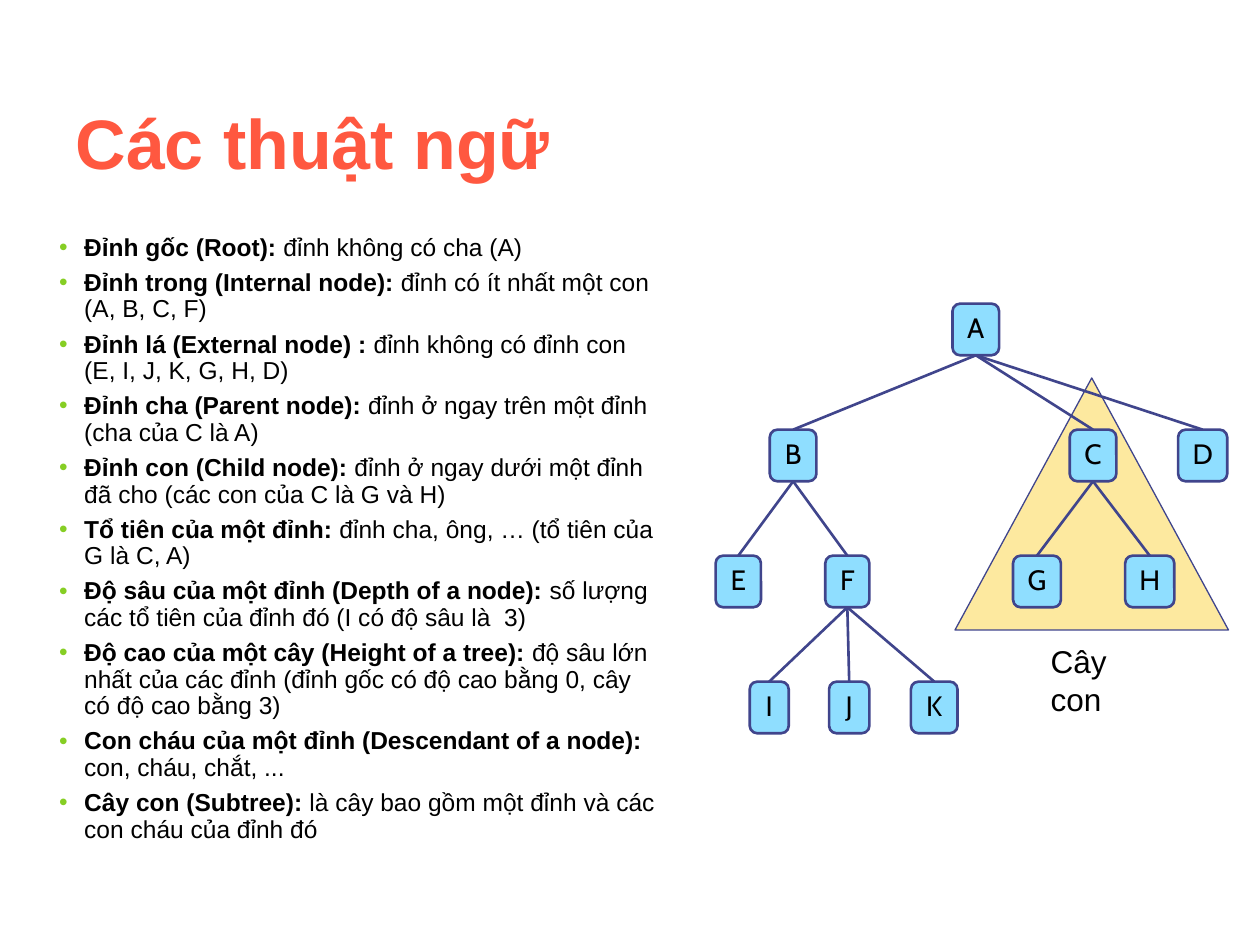
import dataclasses
import typing

import lxml.etree
import pptx
import pptx.dml.color
import pptx.enum.shapes
import pptx.enum.text
import pptx.oxml.ns
import pptx.util

Inches = pptx.util.Inches
Pt = pptx.util.Pt
RGBColor = pptx.dml.color.RGBColor
Shapes = pptx.enum.shapes.MSO_SHAPE
Align = pptx.enum.text.PP_ALIGN
Anchor = pptx.enum.text.MSO_ANCHOR
AutoSize = pptx.enum.text.MSO_AUTO_SIZE

CORAL = RGBColor(0xFF, 0x58, 0x40)
BLACK = RGBColor(0x00, 0x00, 0x00)
GREEN = RGBColor(0x86, 0xCE, 0x24)
SKY = RGBColor(0x8F, 0xDE, 0xFF)
INDIGO = RGBColor(0x40, 0x45, 0x8C)
CREAM = RGBColor(0xFD, 0xE9, 0x9F)

TREE_TOP = 2.41
LEVEL_GAP = 1.0
NODE_HEIGHT = 0.41
CORNER_RADIUS = 0.06
TOP_SIDE, BOTTOM_SIDE = 0, 2


@dataclasses.dataclass(frozen=True)
class Term:
    name: str
    meaning: str


@dataclasses.dataclass(frozen=True)
class Node:
    label: str
    level: int
    left: float
    width: float
    parent: str = ""


TERMS = [
    Term("Đỉnh gốc (Root): ", "đỉnh không có cha (A)"),
    Term("Đỉnh trong (Internal node): ", "đỉnh có ít nhất một con (A, B, C, F)"),
    Term("Đỉnh lá (External node) : ", "đỉnh không có đỉnh con (E, I, J, K, G, H, D)"),
    Term("Đỉnh cha (Parent node): ", "đỉnh ở ngay trên một đỉnh (cha của C là A)"),
    Term("Đỉnh con (Child node):", " đỉnh ở ngay dưới một đỉnh đã cho (các con của C là G và H)"),
    Term("Tổ tiên của một đỉnh: ", "đỉnh cha, ông, … (tổ tiên của G là C, A)"),
    Term("Độ sâu của một đỉnh (Depth of a node): ",
         "số lượng các tổ tiên của đỉnh đó (I có độ sâu là  3)"),
    Term("Độ cao của một cây (Height of a tree): ",
         "độ sâu lớn nhất của các đỉnh (đỉnh gốc có độ cao bằng 0, cây có độ cao bằng 3)"),
    Term("Con cháu của một đỉnh (Descendant of a node): ", "con, cháu, chắt, ..."),
    Term("Cây con (Subtree): ", "là cây bao gồm một đỉnh và các con cháu của đỉnh đó"),
]

NODES = [
    Node("A", 0, 7.56, 0.37),
    Node("B", 1, 6.11, 0.37, "A"),
    Node("C", 1, 8.49, 0.37, "A"),
    Node("D", 1, 9.35, 0.39, "A"),
    Node("E", 2, 5.68, 0.36, "B"),
    Node("F", 2, 6.55, 0.35, "B"),
    Node("G", 2, 8.04, 0.38, "C"),
    Node("H", 2, 8.93, 0.39, "C"),
    Node("I", 3, 5.95, 0.31, "F"),
    Node("J", 3, 6.58, 0.32, "F"),
    Node("K", 3, 7.23, 0.37, "F"),
]


def set_attributes(target: typing.Any, **values: typing.Any) -> None:
    for name, value in values.items():
        setattr(target, name, value)


def add_span(para: typing.Any, text: str, size: float, color: RGBColor,
             name: str = "Arial", bold: bool = False) -> None:
    span = para.add_run()
    span.text = text
    set_attributes(span.font, size=Pt(size), name=name, bold=bold)
    span.font.color.rgb = color


def add_box(page: typing.Any, left: float, top: float, width: float, height: float) -> typing.Any:
    return page.shapes.add_textbox(Inches(left), Inches(top), Inches(width), Inches(height))


def add_outlined(page: typing.Any, kind: Shapes, left: float, top: float, width: float,
                 height: float, fill: RGBColor, weight: float) -> typing.Any:
    shape = page.shapes.add_shape(kind, Inches(left), Inches(top), Inches(width), Inches(height))
    shape.shadow.inherit = False
    shape.fill.solid()
    shape.fill.fore_color.rgb = fill
    shape.line.color.rgb = INDIGO
    shape.line.width = Pt(weight)
    return shape


def add_bullet(para: typing.Any) -> None:
    properties = para._p.get_or_add_pPr()
    properties.set("marL", str(Inches(0.2)))
    properties.set("indent", str(Inches(-0.2)))
    qn = pptx.oxml.ns.qn
    color = lxml.etree.SubElement(properties, qn("a:buClr"))
    lxml.etree.SubElement(color, qn("a:srgbClr"), val=str(GREEN))
    lxml.etree.SubElement(properties, qn("a:buFont"), typeface="Arial")
    lxml.etree.SubElement(properties, qn("a:buChar"), char="•")


def add_title(page: typing.Any) -> None:
    title = page.shapes.title
    set_attributes(title, left=Inches(0.5), top=Inches(0.58), width=Inches(9), height=Inches(1.08))
    set_attributes(title.text_frame, vertical_anchor=Anchor.MIDDLE, auto_size=AutoSize.NONE)
    para = title.text_frame.paragraphs[0]
    para.alignment = Align.LEFT
    add_span(para, "Các thuật ngữ", 40, CORAL, bold=True)


def add_terms(page: typing.Any) -> None:
    frame = add_box(page, 0.37, 1.81, 4.98, 5.44).text_frame
    frame.word_wrap = True
    for index, term in enumerate(TERMS):
        para = frame.add_paragraph() if index else frame.paragraphs[0]
        set_attributes(para, line_spacing=0.9 if index else 0.93, space_before=Pt(5))
        add_bullet(para)
        add_span(para, term.name, 14, BLACK, bold=True)
        add_span(para, term.meaning, 14, BLACK)


def add_node(page: typing.Any, node: Node) -> typing.Any:
    top = TREE_TOP + node.level * LEVEL_GAP
    shape = add_outlined(page, Shapes.ROUNDED_RECTANGLE, node.left, top,
                         node.width, NODE_HEIGHT, SKY, 1.5)
    shape.adjustments[0] = CORNER_RADIUS / node.width
    frame = shape.text_frame
    set_attributes(frame, word_wrap=False, vertical_anchor=Anchor.MIDDLE,
                   margin_left=0, margin_right=0, margin_top=0, margin_bottom=0)
    para = frame.paragraphs[0]
    set_attributes(para, alignment=Align.CENTER, line_spacing=0.93)
    add_span(para, node.label, 16, BLACK, "Cabin")
    return shape


def add_edge(page: typing.Any, parent: typing.Any, child: typing.Any) -> None:
    edge = page.shapes.add_connector(pptx.enum.shapes.MSO_CONNECTOR.STRAIGHT, 0, 0, 0, 0)
    edge.begin_connect(parent, BOTTOM_SIDE)
    edge.end_connect(child, TOP_SIDE)
    edge.line.color.rgb = INDIGO
    edge.line.width = Pt(1.5)
    lxml.etree.SubElement(edge._element.spPr, pptx.oxml.ns.qn("a:effectLst"))


def add_tree(page: typing.Any) -> None:
    shapes = {node.label: add_node(page, node) for node in NODES}
    for node in NODES:
        if node.parent:
            add_edge(page, shapes[node.parent], shapes[node.label])


def main() -> None:
    deck = pptx.Presentation()
    set_attributes(deck, slide_width=Inches(10), slide_height=Inches(7.5))
    page = deck.slides.add_slide(deck.slide_layouts[5])
    add_outlined(page, Shapes.ISOSCELES_TRIANGLE, 7.58, 3, 2.17, 2, CREAM, 0.75)
    add_title(page)
    add_terms(page)
    add_tree(page)
    caption = add_box(page, 8.24, 5.05, 1.11, 0.4).text_frame
    set_attributes(caption, word_wrap=False, auto_size=AutoSize.SHAPE_TO_FIT_TEXT)
    add_span(caption.paragraphs[0], "Cây con", 18, BLACK)
    deck.save("out.pptx")


if __name__ == "__main__":
    main()
